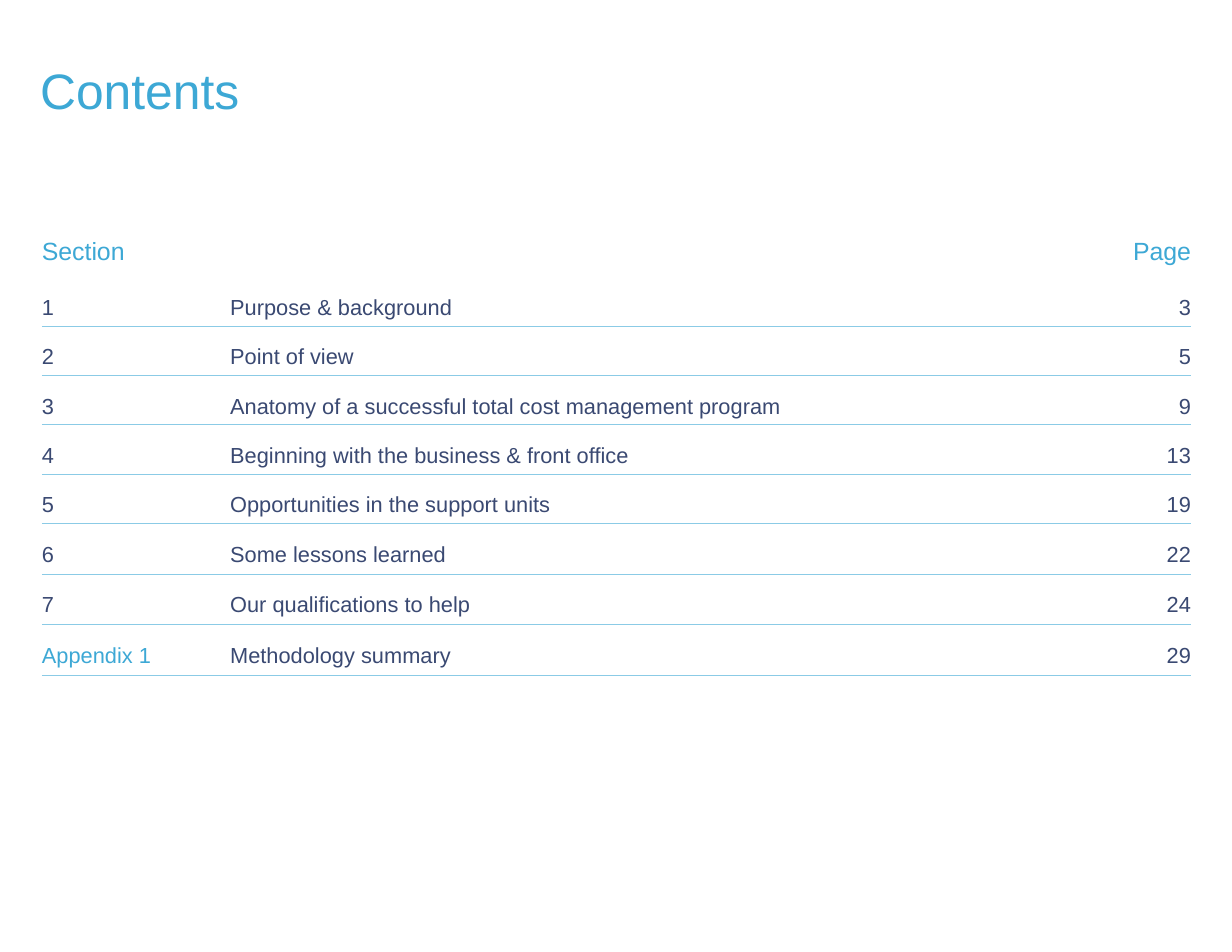
import pptx
import pptx.util
import pptx.dml.color
import pptx.enum.text
import lxml.etree

Cm, Pt = pptx.util.Cm, pptx.util.Pt
RGB = pptx.dml.color.RGBColor.from_string
align = pptx.enum.text.PP_ALIGN

theme = {
    "font": "Arial", "sky": "3DA8D5", "navy": "3A4972", "rule": "8BCBE6",
    "title": 32, "head": 16, "body": 14,
}
plain = "{2D5ABB26-0587-4C30-8999-92F81FD0307C}"  # no style, no grid


def style(par, size, hue):
    for run in par.runs:
        run.font.name = theme["font"]
        run.font.size = Pt(theme[size])
        run.font.color.rgb = RGB(theme[hue])


def underline(cell):
    ns = "{http://schemas.openxmlformats.org/drawingml/2006/main}"
    props = cell._tc.get_or_add_tcPr()
    line = lxml.etree.Element(ns + "lnB", w=str(Pt(0.5)))
    fill = lxml.etree.SubElement(line, ns + "solidFill")
    lxml.etree.SubElement(fill, ns + "srgbClr", val=theme["rule"])
    props.insert(0, line)


# Slide
deck = pptx.Presentation()
deck.slide_width, deck.slide_height = Cm(27.94), Cm(21.59)
slide = deck.slides.add_slide(deck.slide_layouts[6])

# Contents table: heading, entries and an empty closing row
rows = [
    ("Section", "", "Page"),
    ("1", "Purpose & background", "3"),
    ("2", "Point of view", "5"),
    ("3", "Anatomy of a successful total cost management program", "9"),
    ("4", "Beginning with the business & front office", "13"),
    ("5", "Opportunities in the support units", "19"),
    ("6", "Some lessons learned", "22"),
    ("7", "Our qualifications to help", "24"),
    ("Appendix 1", "Methodology summary", "29"),
    ("", "", ""),
]
tall = [1.07] + [1.12] * 5 + [1.15] * 4
wide = [4.27, 13.64, 8.15]
frame = slide.shapes.add_table(len(rows), len(wide), Cm(0.95), Cm(5.18),
                               Cm(sum(wide)), Cm(sum(tall)))
table = frame.table
table.first_row = table.horz_banding = False
table._tbl.tblPr[0].text = plain
for col, width in zip(table.columns, wide):
    col.width = Cm(width)

for r, texts in enumerate(rows):
    table.rows[r].height = Cm(tall[r])
    head = r == 0
    for c, text in enumerate(texts):
        cell = table.cell(r, c)
        cell.fill.background()
        cell.margin_left = cell.margin_right = 0
        cell.margin_top = Cm(0.23 if head else 0.43)
        cell.margin_bottom = Cm(0.17 if head else 0.12)
        par = cell.text_frame.paragraphs[0]
        par.font.size = Pt(theme["head" if head else "body"])
        if text:
            par.text = text
        if c == 2:
            par.alignment = align.RIGHT
        sky = head or text.startswith("Appendix")
        style(par, "head" if head else "body", "sky" if sky else "navy")
        if 0 < r < len(rows) - 1:
            underline(cell)

# Title
box = slide.shapes.add_textbox(Cm(0.91), Cm(1.24), Cm(26.11), Cm(1.02))
text = box.text_frame
text.word_wrap = True
text.margin_left = text.margin_right = text.margin_bottom = 0
text.margin_top = Cm(0.12)
text.text = "Contents"
style(text.paragraphs[0], "title", "sky")

deck.save("out.pptx")
